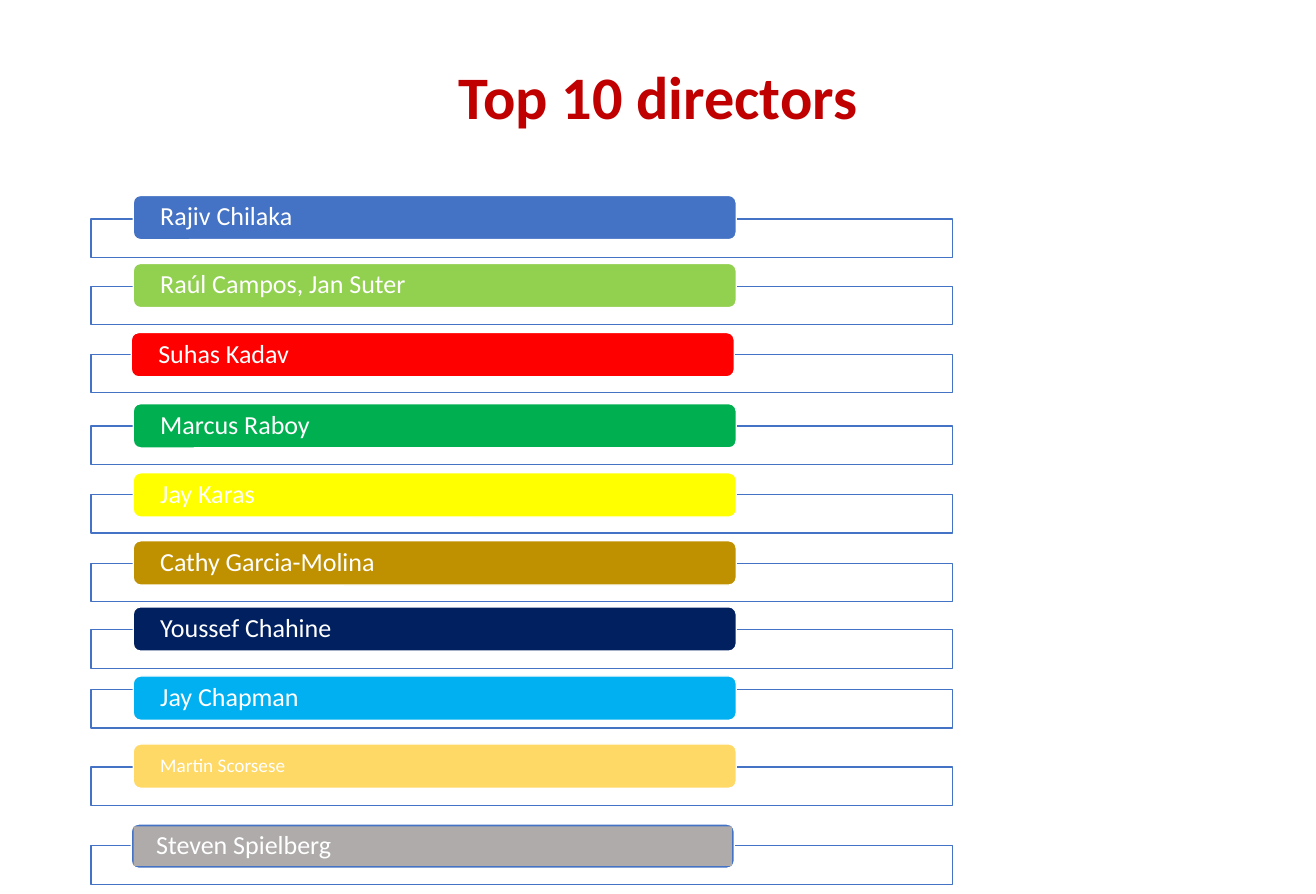
from lxml.etree import SubElement
from pptx import Presentation
from pptx.dml.color import RGBColor
from pptx.enum.shapes import MSO_SHAPE as Shape
from pptx.enum.text import MSO_ANCHOR as Anchor, PP_ALIGN as Align
from pptx.oxml.ns import qn
from pptx.util import Cm, Pt

WHITE = RGBColor(0xFF, 0xFF, 0xFF)
BLUE = RGBColor(0x44, 0x72, 0xC4)
LIME = RGBColor(0x92, 0xD0, 0x50)
RED = RGBColor(0xFF, 0x00, 0x00)
GREEN = RGBColor(0x00, 0xB0, 0x50)
YELLOW = RGBColor(0xFF, 0xFF, 0x00)
OCHRE = RGBColor(0xBF, 0x90, 0x00)
NAVY = RGBColor(0x00, 0x20, 0x60)
SKY = RGBColor(0x00, 0xB0, 0xF0)
GOLD = RGBColor(0xFF, 0xD9, 0x66)
GREY = RGBColor(0xAF, 0xAB, 0xAB)
CRIMSON = RGBColor(0xC0, 0x00, 0x00)

FRAME_LEFT, FRAME_WIDTH, FRAME_HEIGHT = 2.34, 22.17, 0.99
BAR_LEFT, BAR_WIDTH, BAR_HEIGHT = 3.43, 15.52, 1.14
SHIFTED_LEFT = 3.38
PANEL_INSET = 0.06
TEXT_INSET = 0.64

DIRECTORS = [
    ("Rajiv Chilaka", BLUE, 5.64, BAR_LEFT, 5.03, 19),
    ("Raúl Campos, Jan Suter", LIME, 7.37, BAR_LEFT, 6.78, 19),
    ("Suhas Kadav", RED, 9.12, SHIFTED_LEFT, 8.56, 19),
    ("Marcus Raboy", GREEN, 10.97, BAR_LEFT, 10.39, 19),
    ("Jay Karas", YELLOW, 12.73, BAR_LEFT, 12.17, 19),
    ("Cathy Garcia-Molina", OCHRE, 14.5, BAR_LEFT, 13.92, 19),
    ("Youssef Chahine", NAVY, 16.21, BAR_LEFT, 15.62, 19),
    ("Jay Chapman", SKY, 17.75, BAR_LEFT, 17.4, 19),
    ("Martin Scorsese", GOLD, 19.74, BAR_LEFT, 19.15, 14),
]
LAST_NAME, LAST_FRAME_TOP, LAST_BAR_TOP = "Steven Spielberg", 21.77, 21.21


def add_box(slide, kind, left, top, width, height, fill, line=None):
    """Add a filled preset shape, outlined when a line colour is given."""
    shape = slide.shapes.add_shape(kind, Cm(left), Cm(top), Cm(width), Cm(height))
    shape.shadow.inherit = False
    shape.fill.solid()
    shape.fill.fore_color.rgb = fill
    if line is None:
        shape.line.fill.background()
    else:
        shape.line.color.rgb = line
        shape.line.width = Pt(1)
    return shape


def add_frame(slide, top):
    """Add the wide, nearly opaque white frame behind a bar."""
    frame = add_box(slide, Shape.RECTANGLE, FRAME_LEFT, top,
                    FRAME_WIDTH, FRAME_HEIGHT, WHITE, BLUE)
    color = frame.fill._xPr.find(qn("a:solidFill"))[0]
    SubElement(color, qn("a:alpha"), val="90000")


def add_bar(slide, left, top, fill):
    """Add a rounded bar with a white outline."""
    return add_box(slide, Shape.ROUNDED_RECTANGLE, left, top,
                   BAR_WIDTH, BAR_HEIGHT, fill, WHITE)


def write_text(shape, text, size, color, align, inset, bold=False):
    """Write one vertically centred line of text into a shape."""
    frame = shape.text_frame
    frame.word_wrap = True
    frame.vertical_anchor = Anchor.MIDDLE
    frame.margin_left = frame.margin_right = Cm(inset)
    frame.margin_top = frame.margin_bottom = Cm(0)
    paragraph = frame.paragraphs[0]
    paragraph.alignment = align
    paragraph.line_spacing = 0.9
    run = paragraph.add_run()
    run.text = text
    run.font.name = "Calibri"
    run.font.size = Pt(size)
    run.font.bold = bold
    run.font.color.rgb = color


def add_last_director(slide):
    """Add the last row, whose grey panel lies inside a blue bar."""
    add_frame(slide, LAST_FRAME_TOP)
    add_bar(slide, SHIFTED_LEFT, LAST_BAR_TOP, BLUE)
    panel = add_box(slide, Shape.RECTANGLE, SHIFTED_LEFT + PANEL_INSET,
                    LAST_BAR_TOP + PANEL_INSET, BAR_WIDTH - 2 * PANEL_INSET,
                    BAR_HEIGHT - 2 * PANEL_INSET, GREY)
    write_text(panel, LAST_NAME, 19, WHITE, Align.LEFT, TEXT_INSET - PANEL_INSET)


def main():
    """Build the slide and save it."""
    presentation = Presentation()
    presentation.slide_width, presentation.slide_height = Cm(33.87), Cm(23.01)
    slide = presentation.slides.add_slide(presentation.slide_layouts[6])
    title = slide.shapes.add_textbox(Cm(2.34), Cm(1.22), Cm(29.21), Cm(2.72))
    write_text(title, "Top 10 directors", 44, CRIMSON, Align.CENTER, 0.25, bold=True)
    for name, fill, frame_top, left, top, size in DIRECTORS:
        add_frame(slide, frame_top)
        bar = add_bar(slide, left, top, fill)
        write_text(bar, name, size, WHITE, Align.LEFT, TEXT_INSET)
    add_last_director(slide)
    presentation.save("out.pptx")


if __name__ == "__main__":
    main()
